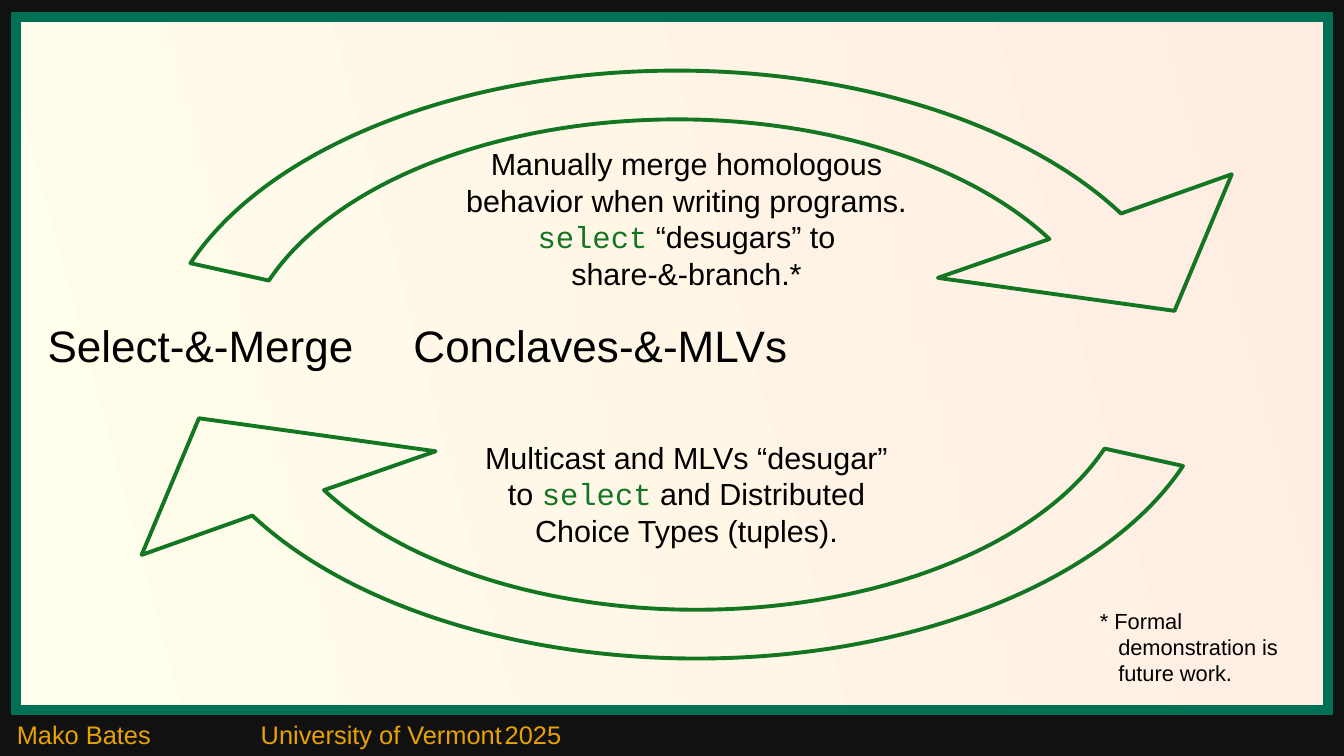
from dataclasses import dataclass
from math import cos, radians, sin, tan

from lxml import etree
from pptx import Presentation
from pptx import util as u
from pptx.dml.color import RGBColor
from pptx.enum import shapes, text
from pptx.oxml import ns

WIDTH, HEIGHT = u.Inches(11.02), u.Inches(6.2)
COLUMN, ROW = WIDTH / 100, HEIGHT / 100  # the grid has 100 columns and 100 rows
CODE_WORD = "select"

Point = tuple[float, float]


@dataclass(frozen=True)
class Theme:
    page: str = "111111"
    panel_from: str = "FFFFEB"
    panel_to: str = "FFECE2"
    frame: str = "007155"
    accent: str = "127622"
    footer: str = "E8A202"
    ink: str = "000000"
    sans: str = "Arial"
    mono: str = "Courier New"
    title_size: float = 26
    body_size: float = 18
    footer_size: float = 15
    note_size: float = 12.9
    frame_width: float = 6
    arrow_width: float = 2.3


THEME = Theme()


@dataclass(frozen=True)
class Area:
    """A rectangle in grid columns and rows."""
    left: float
    top: float
    width: float
    height: float

    def emu(self) -> tuple[int, int, int, int]:
        return (round(self.left * COLUMN), round(self.top * ROW),
                round(self.width * COLUMN), round(self.height * ROW))


@dataclass(frozen=True)
class Label:
    area: Area
    paragraphs: tuple[str, ...]
    size: float
    color: str = THEME.ink
    align: text.PP_ALIGN = text.PP_ALIGN.LEFT
    anchor: text.MSO_ANCHOR = text.MSO_ANCHOR.TOP
    inset: Point = (0, 0)  # inches
    tabs: tuple[float, ...] = ()  # inches
    hanging: float = 0  # inches


@dataclass(frozen=True)
class CurvedArrow:
    """A band between two ellipses, ending in a head; area bounds the outer one."""
    area: Area
    rotation: float = 0


PANEL = Area(1.18, 2.26, 97.64, 91.61)
ARROWS = (CurvedArrow(Area(11.62, 9.35, 77.5, 79.2)),
          CurvedArrow(Area(13.07, 7.9, 77.5, 79.2), rotation=180))
OUTER, INNER = (38.75, 39.6), (32.5, 33.15)  # radii
TAIL_ANGLE, NECK_ANGLE = 159.1, 31.5
HEAD = ((80.03, 13.71), (75.77, 31.78), (58.16, 27.42))  # from the area's corner


def body(top: float, *paragraphs: str) -> Label:
    return Label(Area(34.39, top, 33.39, 25.97), paragraphs, THEME.body_size,
                 align=text.PP_ALIGN.CENTER)


LABELS = (
    Label(Area(0.36, 94.27, 99.64, 5.73),
          ("Mako Bates\tUniversity of Vermont\t2025",), THEME.footer_size,
          color=THEME.footer, inset=(0.1, 0.05), tabs=(2, 4)),
    Label(Area(3.54, 40.16, 92.74, 10.97),
          ("Select-&-Merge\tConclaves-&-MLVs",), THEME.title_size,
          anchor=text.MSO_ANCHOR.MIDDLE, tabs=(3,)),
    body(19.19, "Manually merge homologous behavior when writing programs.",
         "select “desugars” to", "share-&-branch.*"),
    body(58.06, "Multicast and MLVs “desugar”",
         "to select and Distributed Choice Types (tuples)."),
    Label(Area(81.85, 80.32, 15.97, 11.45),
          ("* Formal", "demonstration is", "future work."), THEME.note_size,
          hanging=0.15),
)


def rgb(color: str) -> RGBColor:
    return RGBColor.from_string(color)


def style_line(shape, color: str, width: float, join: str) -> None:
    shape.shadow.inherit = False
    shape.line.color.rgb = rgb(color)
    shape.line.width = u.Pt(width)
    line = shape._element.spPr.find(ns.qn("a:ln"))
    etree.SubElement(line, ns.qn(f"a:{join}"))


def add_panel(page) -> None:
    panel = page.shapes.add_shape(shapes.MSO_SHAPE.RECTANGLE, *PANEL.emu())
    panel.fill.gradient()
    panel.fill.gradient_angle = 15
    for stop, color in zip(panel.fill.gradient_stops,
                           (THEME.panel_from, THEME.panel_to)):
        stop.color.rgb = rgb(color)
    style_line(panel, THEME.frame, THEME.frame_width, "miter")


def arc(radii: Point, start: float, end: float) -> list[Point]:
    """Points of two cubic curves: an end, then two controls and an end for each."""
    def place(x: float, y: float) -> Point:
        return OUTER[0] + radii[0] * x, OUTER[1] - radii[1] * y

    first, step = radians(start), radians(end - start) / 2
    pull = 4 / 3 * tan(step / 4)
    points = [place(cos(first), sin(first))]
    for a, b in ((first, first + step), (first + step, first + 2 * step)):
        points += [place(cos(a) - pull * sin(a), sin(a) + pull * cos(a)),
                   place(cos(b) + pull * sin(b), sin(b) - pull * cos(b)),
                   place(cos(b), sin(b))]
    return points


def add_command(outline, name: str, points: list[Point]) -> None:
    command = etree.SubElement(outline, ns.qn(f"a:{name}"))
    for x, y in points:
        etree.SubElement(command, ns.qn("a:pt"),
                         x=str(round(x * COLUMN)), y=str(round(y * ROW)))


def add_arrow(page, arrow: CurvedArrow) -> None:
    inner = arc(INNER, NECK_ANGLE, TAIL_ANGLE)
    outer = arc(OUTER, TAIL_ANGLE, NECK_ANGLE)
    builder = page.shapes.build_freeform(0, 0)
    builder.add_line_segments([(COLUMN, ROW)])
    shape = builder.convert_to_shape()
    shape.left, shape.top, shape.width, shape.height = arrow.area.emu()
    shape.rotation = arrow.rotation

    outline = next(shape._element.iter(ns.qn("a:path")))
    for command in list(outline):
        outline.remove(command)
    outline.set("w", str(shape.width))
    outline.set("h", str(shape.height))
    add_command(outline, "moveTo", inner[:1])
    for side in (inner, outer):
        if side is outer:
            add_command(outline, "lnTo", outer[:1])
        for i in (1, 4):
            add_command(outline, "cubicBezTo", side[i:i + 3])
    for point in HEAD:
        add_command(outline, "lnTo", [point])
    etree.SubElement(outline, ns.qn("a:close"))

    shape.fill.background()
    style_line(shape, THEME.accent, THEME.arrow_width, "round")


def add_spans(para, content: str) -> None:
    """Write the content, with the code word in the code font."""
    for part in filter(None, content.partition(CODE_WORD)):
        span = para.add_run()
        span.text = part
        if part == CODE_WORD:
            span.font.name = THEME.mono
            span.font.color.rgb = rgb(THEME.accent)


def add_label(page, label: Label) -> None:
    frame = page.shapes.add_textbox(*label.area.emu()).text_frame
    frame.word_wrap = True
    frame.vertical_anchor = label.anchor
    frame.margin_left = frame.margin_right = u.Inches(label.inset[0])
    frame.margin_top = frame.margin_bottom = u.Inches(label.inset[1])
    for index, content in enumerate(label.paragraphs):
        para = frame.add_paragraph() if index else frame.paragraphs[0]
        para.alignment = label.align
        properties = para._p.get_or_add_pPr()
        if label.hanging and index:
            properties.set("marL", str(u.Inches(label.hanging)))
        if label.tabs:
            stops = etree.SubElement(properties, ns.qn("a:tabLst"))
            for tab in label.tabs:
                etree.SubElement(stops, ns.qn("a:tab"),
                                 pos=str(u.Inches(tab)), algn="l")
        para.font.name = THEME.sans
        para.font.size = u.Pt(label.size)
        para.font.color.rgb = rgb(label.color)
        add_spans(para, content)


def main() -> None:
    deck = Presentation()
    deck.slide_width, deck.slide_height = WIDTH, HEIGHT
    page = deck.slides.add_slide(deck.slide_layouts[6])
    page.background.fill.solid()
    page.background.fill.fore_color.rgb = rgb(THEME.page)
    add_panel(page)
    for arrow in ARROWS:
        add_arrow(page, arrow)
    for label in LABELS:
        add_label(page, label)
    deck.save("out.pptx")


if __name__ == "__main__":
    main()
